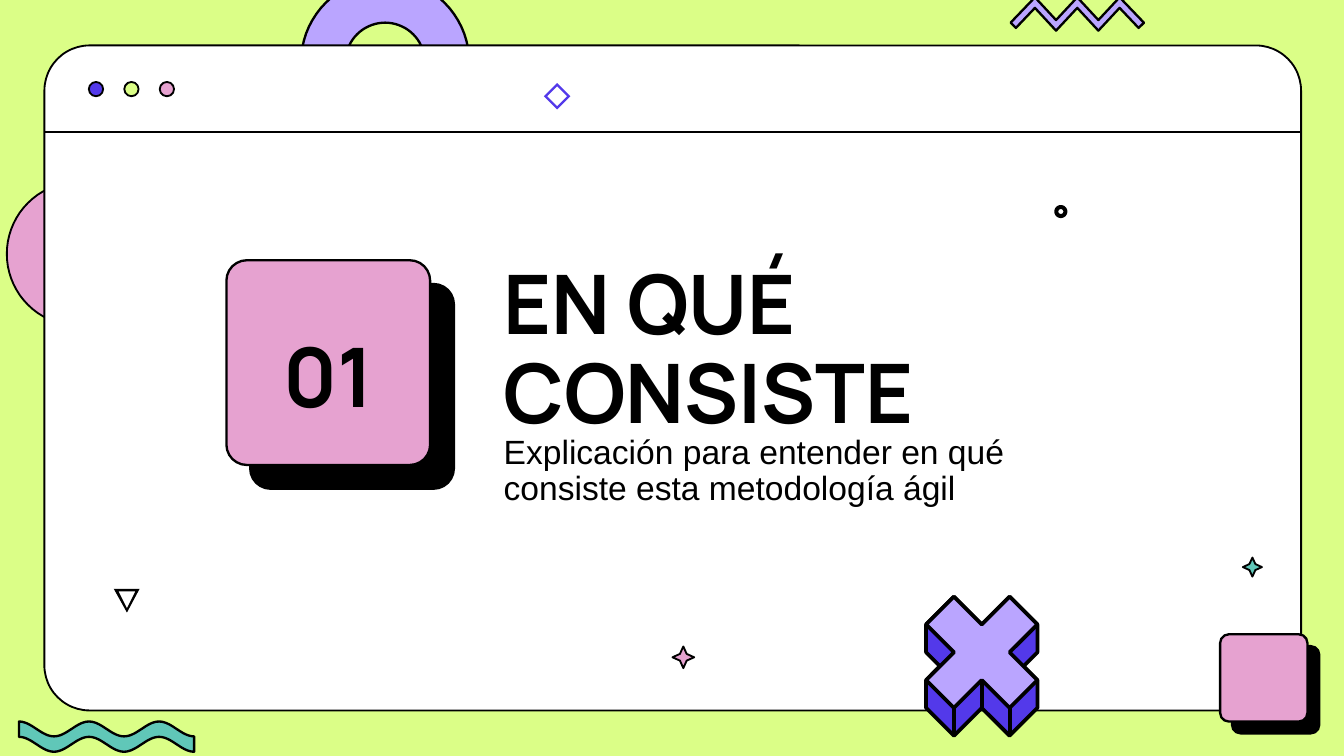
from dataclasses import dataclass
from math import cos, pi, radians, sin
from typing import Optional

from lxml import etree
from pptx import Presentation
from pptx import util as u
from pptx.dml.color import RGBColor
from pptx.enum import shapes, text
from pptx.oxml.ns import qn

Point = tuple[float, float]
Contour = list[Point]
KIND = shapes.MSO_SHAPE


@dataclass(frozen=True)
class Theme:
    lime: str = "DBFE87"
    lilac: str = "BAA5FF"
    pink: str = "E6A2D0"
    teal: str = "60C7B8"
    indigo: str = "5339EA"
    white: str = "FFFFFF"
    black: str = "000000"
    display: str = "Manrope"
    plain: str = "Arial"
    big: float = 44
    small: float = 18
    thin: float = 1
    thick: float = 1.25
    heavy: float = 2


T = Theme()


@dataclass(frozen=True)
class Preset:
    kind: shapes.MSO_SHAPE
    x: float
    y: float
    w: float
    h: float
    fill: str
    line: float = T.thin
    adj: Optional[float] = None
    shadow: float = 0


@dataclass(frozen=True)
class Outline:
    contours: list[Contour]
    fill: str
    line: float = T.thick


@dataclass(frozen=True)
class Label:
    words: str
    x: float
    y: float
    w: float
    h: float
    size: float
    font: str
    bold: bool = False
    anchor: text.MSO_ANCHOR = text.MSO_ANCHOR.TOP
    align: text.PP_ALIGN = text.PP_ALIGN.LEFT


def assign(obj, values: dict) -> None:
    for name, value in values.items():
        setattr(obj, name, value)


def paint(sp, fill: str, line: float) -> None:
    sp.shadow.inherit = False
    sp.fill.solid()
    sp.fill.fore_color.rgb = RGBColor.from_string(fill)
    if line:
        sp.line.color.rgb = RGBColor.from_string(T.black)
        sp.line.width = u.Pt(line)
    else:
        sp.line.fill.background()


def cast_shadow(sp, distance: float) -> None:
    effects = sp._element.spPr.find(qn("a:effectLst"))
    shadow = etree.SubElement(effects, qn("a:outerShdw"), blurRad="0",
                              dist=str(u.Pt(distance)), dir="2700000",
                              algn="bl", rotWithShape="0")
    etree.SubElement(shadow, qn("a:srgbClr"), val=T.black)


def draw_preset(s, item: Preset) -> None:
    sp = s.shapes.add_shape(item.kind, *map(u.Cm, (item.x, item.y, item.w, item.h)))
    paint(sp, item.fill, item.line)
    if item.adj is not None:
        sp.adjustments[0] = item.adj
    if item.shadow:
        cast_shadow(sp, item.shadow)


def draw_outline(s, item: Outline) -> None:
    first, *rest = [[(u.Cm(x), u.Cm(y)) for x, y in c] for c in item.contours]
    builder = s.shapes.build_freeform(*first[0])
    builder.add_line_segments(first[1:], close=True)
    for contour in rest:
        builder.move_to(*contour[0])
        builder.add_line_segments(contour[1:], close=True)
    paint(builder.convert_to_shape(), item.fill, item.line)


def draw_line(s, start: Point, end: Point, width: float) -> None:
    cx = s.shapes.add_connector(shapes.MSO_CONNECTOR.STRAIGHT, *map(u.Cm, start + end))
    cx.line.color.rgb = RGBColor.from_string(T.black)
    cx.line.width = u.Pt(width)
    etree.SubElement(cx._element.spPr, qn("a:effectLst"))


def draw_label(s, item: Label) -> None:
    sp = s.shapes.add_textbox(*map(u.Cm, (item.x, item.y, item.w, item.h)))
    tf = sp.text_frame
    assign(tf, {"word_wrap": True, "vertical_anchor": item.anchor})
    p = tf.paragraphs[0]
    assign(p, {"alignment": item.align, "line_spacing": 0.9})
    r = p.add_run()
    r.text = item.words
    assign(r.font, {"name": item.font, "size": u.Pt(item.size), "bold": item.bold})
    r.font.color.rgb = RGBColor.from_string(T.black)


def arc(cx: float, cy: float, radius: float, start: int, end: int, steps: int = 36) -> Contour:
    angles = [radians(start + (end - start) * i / steps) for i in range(steps + 1)]
    return [(cx + radius * cos(a), cy + radius * sin(a)) for a in angles]


def arch(cx: float, cy: float, outer: float, inner: float) -> Contour:
    mid, cap = (outer + inner) / 2, (outer - inner) / 2
    return (arc(cx, cy, outer, 180, 360) + arc(cx + mid, cy, cap, 0, 180)
            + arc(cx, cy, inner, 360, 180) + arc(cx - mid, cy, cap, 0, 180))


def wave(x: float, y: float, width: float, amp: float, band: float) -> Contour:
    steps = 100
    top = [(x + width * i / steps, y - amp * cos(5 * pi * i / steps))
           for i in range(steps + 1)]
    return top + [(px, py + band) for px, py in reversed(top)]


def zigzag(x: float, y: float, step: float, rise: float, band: float) -> Contour:
    ridge = [(x + i * step, y + rise * (i % 2)) for i in range(5)]
    end = x + 4 * step
    under = [(px, py + band) for px, py in reversed(ridge)]
    return ([(x - 0.46, y + 0.48)] + ridge + [(end + 0.46, y + 0.48), (end + 0.36, y + 0.58)]
            + under + [(x - 0.36, y + 0.58)])


def cross_point(x: float, y: float) -> Point:
    return 18.555 + 0.526 * x, 12.33 + 0.526 * y


def draw_cross(s) -> None:
    right_face = [(0, -1), (1, -2), (2, -1), (1, 0), (2, 1), (1, 2), (0, 1)]
    right_body = [(0, -1), (1, -2), (2, -1), (2, 0), (1.5, 0.5), (2, 1), (2, 2), (1, 3), (0, 2)]
    for half, fill in ((right_body, T.indigo), (right_face, T.lilac)):
        ring = half + [(-x, y) for x, y in reversed(half[1:-1])]
        draw_outline(s, Outline([[cross_point(*p) for p in ring]], fill, T.heavy))
    for x, y in ((-1, 2), (0, 1), (1, 2)):
        draw_line(s, cross_point(x, y), cross_point(x, y + 1), T.heavy)


def main() -> None:
    prs = Presentation()
    assign(prs, {"slide_width": u.Cm(25.4), "slide_height": u.Cm(14.29)})
    s = prs.slides.add_slide(prs.slide_layouts[6])
    s.background.fill.solid()
    s.background.fill.fore_color.rgb = RGBColor.from_string(T.lime)

    draw_outline(s, Outline([arch(7.28, 1.18, 1.59, 0.75)], T.lilac))
    draw_outline(s, Outline([arc(1.49, 4.8, 1.36, 90, 270)], T.pink, T.thin))
    draw_preset(s, Preset(KIND.ROUNDED_RECTANGLE, 0.84, 0.86, 23.75, 12.57, T.white, adj=0.068))
    draw_line(s, (0.84, 2.5), (24.57, 2.5), T.thin)
    draw_preset(s, Preset(KIND.ROUNDED_RECTANGLE, 4.28, 4.92, 3.85, 3.87, T.pink,
                          T.thick, 0.1, 18))

    for label in (
        Label("EN QUÉ CONSISTE", 9.27, 4.78, 11, 3.68, T.big, T.display, True,
              text.MSO_ANCHOR.BOTTOM),
        Label("Explicación para entender en qué consiste esta metodología ágil",
              9.27, 8.1, 11, 1.19, T.small, T.plain),
        Label("01", 4.29, 6.2, 3.84, 2.01, T.big, T.display, True,
              text.MSO_ANCHOR.MIDDLE, text.PP_ALIGN.CENTER),
    ):
        draw_label(s, label)

    triangle = [[(2.15, 11.13), (2.64, 11.13), (2.4, 11.58)],
                [(2.24, 11.18), (2.56, 11.18), (2.4, 11.5)]]
    diamond = [arc(10.53, 1.82, r, 0, 270, 3) for r in (0.25, 0.19)]
    ring = [arc(20.05, 4, r, 0, 350, 35) for r in (0.11, 0.06)]
    for item in (Outline(triangle, T.black, 0), Outline(diamond, T.indigo, 0),
                 Outline(ring, T.black, 0.75)):
        draw_outline(s, item)

    draw_cross(s)
    dots = [Preset(KIND.OVAL, 1.68 + 0.67 * i, 1.55, 0.27, 0.27, fill)
            for i, fill in enumerate((T.indigo, T.lime, T.pink))]
    for item in (
        Preset(KIND.STAR_4_POINT, 12.71, 12.22, 0.41, 0.41, T.pink, adj=0.22),
        Preset(KIND.STAR_4_POINT, 23.49, 10.54, 0.36, 0.36, T.teal, adj=0.22),
        Preset(KIND.ROUNDED_RECTANGLE, 23.06, 11.99, 1.65, 1.65, T.pink, T.thick, 0.1, 9),
        *dots,
    ):
        draw_preset(s, item)

    draw_outline(s, Outline([wave(0.36, 13.78, 3.31, 0.14, 0.29)], T.teal))
    draw_outline(s, Outline([zigzag(19.56, -0.05, 0.4, 0.43, 0.2)], T.lilac))
    prs.save("out.pptx")


if __name__ == "__main__":
    main()
